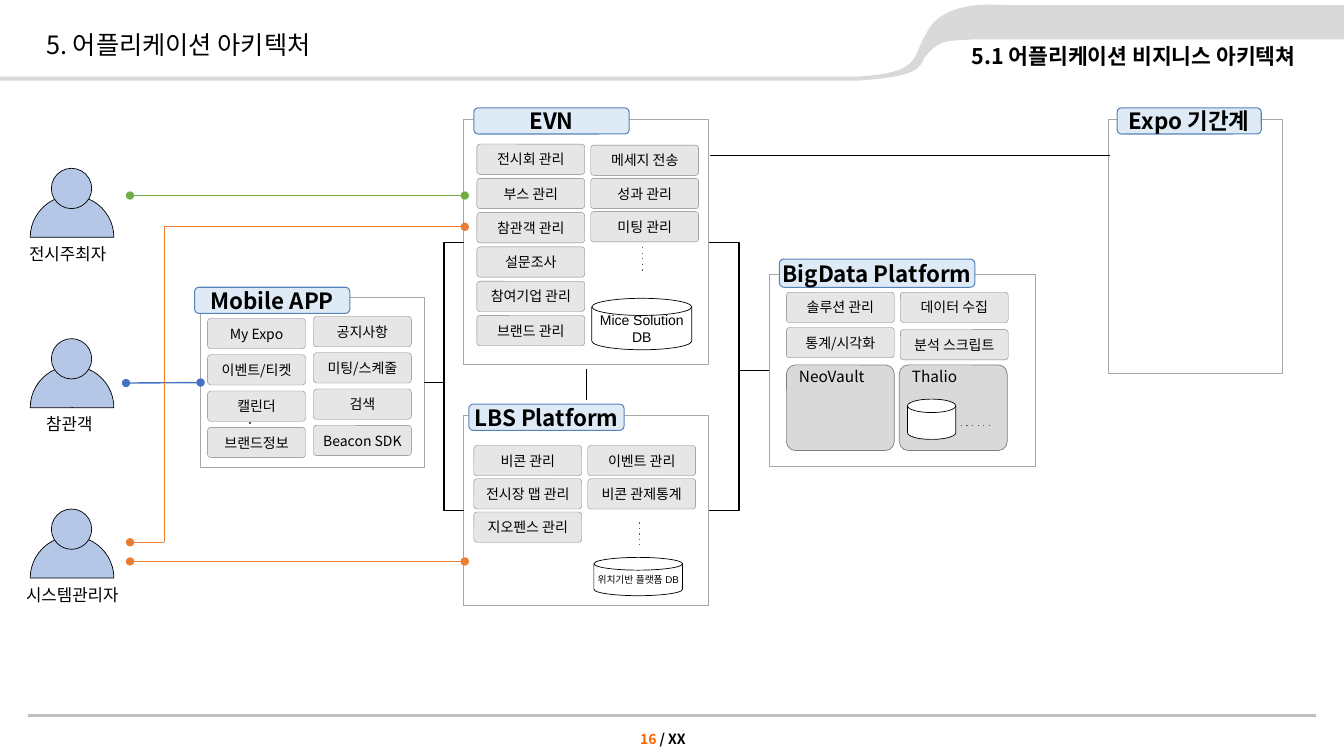
from dataclasses import dataclass

from lxml import etree
from pptx import Presentation
from pptx import util as u
from pptx.dml.color import RGBColor
from pptx.enum import shapes, text
from pptx.oxml.ns import qn

PX = 9144  # EMU in one px, 100 px to the inch


@dataclass(frozen=True)
class Theme:
    face: str = "Noto Sans CJK KR"
    disk_face: str = "Arial"
    black: str = "000000"
    white: str = "FFFFFF"
    band: str = "D9D9D9"
    rule: str = "C0C0C0"
    page: str = "FF6600"
    panel_edge: str = "A6A6A6"
    heading: str = "DEEBF7"
    heading_edge: str = "5683BA"
    chip: str = "E7E6E6"
    chip_edge: str = "7F7F7F"
    person: str = "B4C7E7"
    dots: str = "595959"
    green: str = "70AD47"
    orange: str = "ED7D31"
    blue: str = "4472C4"
    title_pt: float = 18
    subtitle_pt: float = 15.4
    heading_pt: float = 16
    person_pt: float = 12
    engine_pt: float = 11
    small_pt: float = 10
    tiny_pt: float = 7


T = Theme()
KIND = shapes.MSO_SHAPE
ALIGN = text.PP_ALIGN

deck = Presentation()
deck.slide_width, deck.slide_height = 1333 * PX, 750 * PX
slide = deck.slides.add_slide(deck.slide_layouts[1])


def put(kind, box, fill, edge, width, corner=None):
    """Add a preset shape at box (left, top, width, height in px)."""
    shape = slide.shapes.add_shape(kind, *(n * PX for n in box))
    shape.shadow.inherit = False
    if fill:
        shape.fill.solid()
        shape.fill.fore_color.rgb = RGBColor.from_string(fill)
    else:
        shape.fill.background()
    shape.line.color.rgb = RGBColor.from_string(edge)
    shape.line.width = u.Pt(width)
    if corner is not None:
        shape.adjustments[0] = corner
    return shape


def write(shape, words, size, align=ALIGN.CENTER, margins=(10, 5, 10, 5),
          bold=False, color=T.black, face=T.face, wrap=True):
    """Append a run to the shape's first paragraph and set its frame; margins in px."""
    frame = shape.text_frame
    frame.word_wrap = wrap
    (frame.margin_left, frame.margin_top,
     frame.margin_right, frame.margin_bottom) = (n * PX for n in margins)
    paragraph = frame.paragraphs[0]
    paragraph.alignment = align
    run = paragraph.add_run()
    run.text = words
    run.font.size, run.font.bold, run.font.name = u.Pt(size), bold, face
    run.font.color.rgb = RGBColor.from_string(color)
    etree.SubElement(run.font._element, qn("a:ea"), typeface=face)


# Header band: single points are corners, triples are Bézier segments
outline = [(0, 76)]
for step in [
    [(851, 76)],
    [(913, 72), (905, 58), (917, 36)],
    [(920, 35), (924, 0), (996, 5)],
    [(1333, 5)], [(1333, 39)], [(967, 39)],
    [(939, 41), (933, 38), (917, 57)],
    [(912, 68), (910, 76), (851, 80)],
    [(0, 80)],
]:
    if len(step) == 1:
        outline += step
        continue
    knots = [outline[-1], *step]
    for t in (n / 16 for n in range(1, 17)):
        weights = ((1 - t) ** 3, 3 * t * (1 - t) ** 2, 3 * t * t * (1 - t), t ** 3)
        outline.append(tuple(sum(w * k[axis] for w, k in zip(weights, knots))
                             for axis in (0, 1)))
corners = [(x * PX, y * PX) for x, y in outline]
builder = slide.shapes.build_freeform(*corners[0], scale=1.0)
builder.add_line_segments(corners[1:], close=True)
band = builder.convert_to_shape()
band.shadow.inherit = False
band.fill.solid()
band.fill.fore_color.rgb = RGBColor.from_string(T.band)
band.line.fill.background()

# Title and section
title, section = slide.shapes.title, slide.placeholders[1]
for holder, box in ((title, (36, 20, 709, 48)), (section, (924, 45, 371, 28))):
    holder.left, holder.top, holder.width, holder.height = (n * PX for n in box)
    holder.text_frame.auto_size = text.MSO_AUTO_SIZE.NONE
    holder.text_frame.vertical_anchor = text.MSO_ANCHOR.MIDDLE
write(title, "5. 어플리케이션 아키텍처", T.title_pt, ALIGN.LEFT)
write(section, "5.1 어플리케이션 비지니스 아키텍쳐", T.subtitle_pt, ALIGN.RIGHT, bold=True)
section_line = section.text_frame.paragraphs[0]
section_line.line_spacing, section_line.space_before = 0.7, u.Pt(10)
section_format = section_line._p.get_or_add_pPr()
section_format.set("marL", str(25 * PX))
section_format.set("indent", str(-25 * PX))
etree.SubElement(section_format, qn("a:buNone"))

# Page number
page = slide.shapes.add_textbox(625 * PX, 725 * PX, 73 * PX, 17 * PX)
for words, color in (("16", T.page), (" / XX", T.black)):
    write(page, words, T.small_pt, ALIGN.LEFT, (10, 0, 10, 0), True, color, wrap=False)

# System panels with their headings
panels = {}
for name, frame_box, heading_box in [
    ("Mobile APP", (199, 295, 222, 169), (193, 285, 154, 26)),
    ("Expo 기간계", (1099, 119, 173, 252), (1108, 107, 143, 26)),
    ("LBS Platform", (460, 412, 243, 189), (465, 401, 154, 26)),
    ("BigData Platform", (763, 272, 264, 191), (773, 257, 194, 28)),
    ("EVN", (460, 119, 243, 243), (470, 107, 154, 26)),
]:
    panels[name] = put(KIND.RECTANGLE, frame_box, None, T.panel_edge, 0.75)
    heading = put(KIND.ROUNDED_RECTANGLE, heading_box, T.heading, T.heading_edge, 0.75, 0.167)
    write(heading, name, T.heading_pt, bold=True, wrap=False)

# Analysis engines
for left, name in ((780, "NeoVault"), (892, "Thalio")):
    engine = put(KIND.ROUNDED_RECTANGLE, (left, 362, 107, 85), T.band, T.chip_edge, 0.5, 0.106)
    engine.text_frame.vertical_anchor = text.MSO_ANCHOR.TOP
    write(engine, name, T.engine_pt, ALIGN.LEFT, (10, 0, 10, 5))

# Lines: from, to, colour, width, style, then (panel, side) joined at begin and end
STRAIGHT, ELBOW = shapes.MSO_CONNECTOR.STRAIGHT, shapes.MSO_CONNECTOR.ELBOW
mobile, lbs, bigdata, event = (
    panels[name] for name in ("Mobile APP", "LBS Platform", "BigData Platform", "EVN"))
DOT, HEAD, BOTH = ["prstDash"], ["headEnd"], ["headEnd", "tailEnd"]
for kind, start, end, color, width, style, begin_at, end_at in [
    (STRAIGHT, (28, 710), (1305, 710), T.rule, 2, [], None, None),
    (STRAIGHT, (248, 408), (248, 431), T.dots, 1, DOT, None, None),
    (STRAIGHT, (634, 518), (634, 541), T.dots, 1, DOT, None, None),
    (STRAIGHT, (637, 245), (637, 269), T.dots, 1, DOT, None, None),
    (STRAIGHT, (953, 422), (986, 422), T.dots, 1, DOT, None, None),
    (STRAIGHT, (582, 366), (582, 397), T.black, 1, [], None, None),
    (STRAIGHT, (1101, 154), (704, 154), T.black, 1, [], None, None),
    (ELBOW, (421, 379), (460, 506), T.black, 1, [], (mobile, 3), (lbs, 1)),
    (ELBOW, (421, 379), (460, 240), T.black, 1, [], (mobile, 3), (event, 1)),
    (ELBOW, (763, 368), (703, 506), T.black, 1, [], (bigdata, 1), (lbs, 3)),
    (ELBOW, (763, 368), (703, 240), T.black, 1, [], (bigdata, 1), (event, 3)),
    (STRAIGHT, (461, 557), (129, 557), T.orange, 1, BOTH, None, None),
    (STRAIGHT, (461, 194), (129, 194), T.green, 1, BOTH, None, None),
    (STRAIGHT, (199, 379), (125, 380), T.blue, 1, BOTH, (mobile, 1), None),
    (STRAIGHT, (163, 225), (163, 538), T.orange, 1, [], None, None),
    (STRAIGHT, (129, 538), (163, 538), T.orange, 1, HEAD, None, None),
    (STRAIGHT, (461, 225), (163, 225), T.orange, 1, HEAD, None, None),
]:
    link = slide.shapes.add_connector(kind, *(n * PX for n in start + end))
    if begin_at:
        link.begin_connect(*begin_at)
    if end_at:
        link.end_connect(*end_at)
    link.line.color.rgb = RGBColor.from_string(color)
    link.line.width = u.Pt(width)
    for tag in style:
        if tag == "prstDash":
            etree.SubElement(link.line._ln, qn("a:prstDash"), val="dot")
        else:
            etree.SubElement(link.line._ln, qn("a:" + tag), type="oval")
    etree.SubElement(link._element.spPr, qn("a:effectLst"))

# Function columns: left, first top, pitch, width, names
for left, top, pitch, width, functions in [
    (206, 316, 36, 97, ["My Expo", "이벤트/티켓", "캘린더", "브랜드정보"]),
    (311, 314, 36, 97, ["공지사항", "미팅/스켸줄", "검색", "Beacon SDK"]),
    (473, 143, 34, 107, ["전시회 관리", "부스 관리", "참관객 관리",
                         "설문조사", "참여기업 관리", "브랜드 관리"]),
    (586, 144, 33, 107, ["메세지 전송", "성과 관리", "미팅 관리"]),
    (470, 442, 33, 107, ["비콘 관리", "전시장 맵 관리", "지오펜스 관리"]),
    (583, 442, 33, 107, ["이벤트 관리", "비콘 관제통계"]),
    (780, 290, 35, 107, ["솔루션 관리", "통계/시각화"]),
    (893, 290, 37, 107, ["데이터 수집", "분석 스크립트"]),
]:
    for row, name in enumerate(functions):
        chip = put(KIND.ROUNDED_RECTANGLE, (left, top + row * pitch, width, 30),
                   T.chip, T.chip_edge, 0.25, 0.106)
        write(chip, name, T.small_pt, margins=(6, 5, 6, 5))

# Databases
for box, name, size in [
    ((587, 296, 99, 51), "Mice Solution DB", T.small_pt),
    ((589, 553, 88, 38), "위치기반 플랫폼 DB", T.tiny_pt),
    ((900, 396, 48, 40), "", T.tiny_pt),
]:
    database = put(KIND.FLOWCHART_MAGNETIC_DISK, box, T.white, T.black, 0.5)
    if name:
        write(database, name, size, margins=(0, 0, 0, 0), face=T.disk_face)

# Users
for row, (name, left, width) in enumerate(
        [("전시주최자", 19, 104), ("참관객", 36, 71), ("시스템관리자", 16, 130)]):
    top = 194 + row * 169
    body = put(KIND.BLOCK_ARC, (30, top, 83, 83), T.person, T.black, 0.5)
    body.adjustments[2] = 0.496
    put(KIND.OVAL, (51, top - 27, 40, 40), T.person, T.black, 0.5)
    label = slide.shapes.add_textbox(left * PX, (top + 43) * PX, width * PX, 30 * PX)
    write(label, name, T.person_pt, ALIGN.LEFT, wrap=False)

deck.save("out.pptx")
